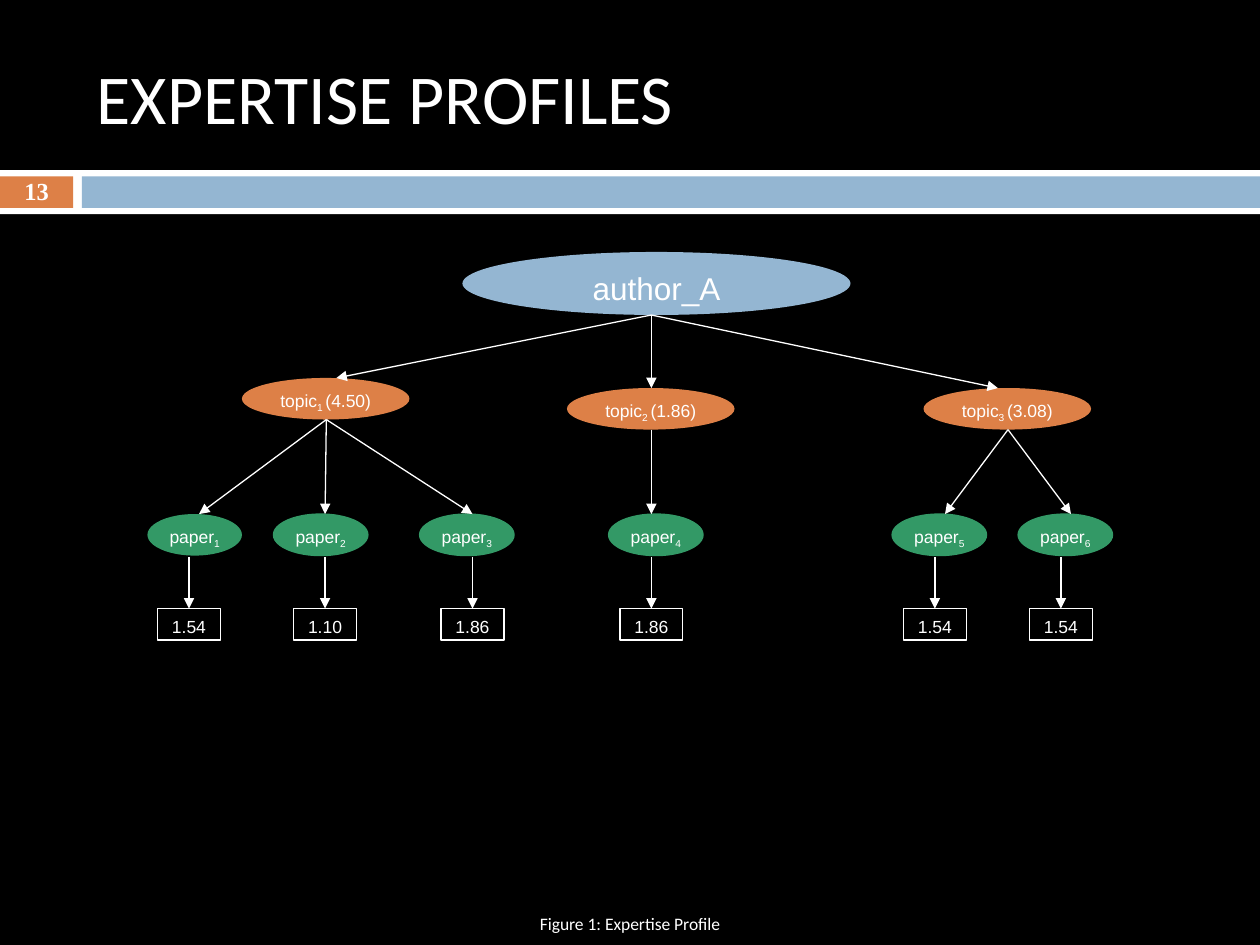
import pptx
import pptx.util
import pptx.dml.color
import pptx.enum.shapes
import pptx.enum.text
import pptx.oxml.ns
import lxml.etree

Inches = pptx.util.Inches
SHAPE = pptx.enum.shapes.MSO_SHAPE
ALIGN = pptx.enum.text.PP_ALIGN
WHITE, BLACK = "FFFFFF", "000000"
BLUE, ORANGE, GREEN = "94B6D2", "DD8047", "339966"

# Offsets inside the tree box. Topic: score, left, top, arrow tip, papers.
# Paper: left, arrow tip, score left, score.
TOPICS = [
    ("4.50", 0.92, 1.0, 1.67, [(0.17, 0.58, 0.25, "1.54"),
                               (1.17, 1.58, 1.33, "1.10"),
                               (2.33, 2.75, 2.5, "1.86")]),
    ("1.86", 3.5, 1.08, 4.17, [(3.83, 4.17, 3.92, "1.86")]),
    ("3.08", 6.33, 1.08, 6.92, [(6.08, 6.5, 6.17, "1.54"),
                                (7.08, 7.5, 7.17, "1.54")]),
]
ROOT, PAPER, SCORE = 4.17, 2.08, 2.83  # root x, then row tops


def color(code):
    return pptx.dml.color.RGBColor.from_string(code)


def write(shape, *parts, size=10, font="Arial", bold=False,
          align=ALIGN.CENTER, space=1.24, wrap=False):
    """Write parts as runs; every second part is a subscript."""
    frame = shape.text_frame
    frame.word_wrap = wrap
    frame.vertical_anchor = pptx.enum.text.MSO_ANCHOR.MIDDLE
    para = frame.paragraphs[0]
    para.alignment = align
    para.line_spacing = space
    for index, text in enumerate(parts):
        run = para.add_run()
        run.text = text
        run.font.size = pptx.util.Pt(size)
        run.font.name = font
        run.font.bold = bold
        run.font.color.rgb = color(WHITE)
        if index % 2:
            run.font._element.set("baseline", "-25000")


def label(slide, box, text, **style):
    area = slide.shapes.add_textbox(*map(Inches, box))
    write(area, text, space=0.98, wrap=True, **style)


def block(slide, kind, box, fill=None, line=None):
    shape = slide.shapes.add_shape(kind, *map(Inches, box))
    shape.shadow.inherit = False
    if fill:
        shape.fill.solid()
        shape.fill.fore_color.rgb = color(fill)
    else:
        shape.fill.background()
    if line:
        shape.line.color.rgb = color(line)
        shape.line.width = pptx.util.Pt(0.75)
    else:
        shape.line.fill.background()
    return shape


def arrow(slide, start, end, target=None):
    link = slide.shapes.add_connector(
        pptx.enum.shapes.MSO_CONNECTOR.STRAIGHT, *map(Inches, start + end))
    if target is not None:
        link.end_connect(target, 0)
    link.line.color.rgb = color(WHITE)
    link.line.width = pptx.util.Pt(0.75)
    name = pptx.oxml.ns.qn
    lxml.etree.SubElement(link.line._get_or_add_ln(), name("a:tailEnd"),
                          type="triangle")
    lxml.etree.SubElement(link._element.spPr, name("a:effectLst"))


def header(slide, left, top, width):
    # Title, white band, number tile and blue bar
    label(slide, (left + 0.67, top + 0.25, 8.92, 1.08), "EXPERTISE PROFILES",
          size=40, font="Calibri", align=ALIGN.LEFT)
    for x, y, wide, high, fill in [(0, 1.35, width, 0.35, WHITE),
                                   (0, 1.4, 0.58, 0.25, ORANGE),
                                   (0.65, 1.4, width - 0.65, 0.25, BLUE)]:
        block(slide, SHAPE.RECTANGLE, (left + x, top + y, wide, high), fill)
    label(slide, (left, top + 1.36, 0.58, 0.33), "13",
          size=14, font="Times New Roman", bold=True)


def paper(slide, left, top, number, spot, score):
    # Paper ellipse with its score below
    node = block(slide, SHAPE.OVAL, (left, top, 0.75, 0.33), GREEN,
                 GREEN if number > 1 else None)
    write(node, "paper", str(number))
    below = top + SCORE - PAPER
    tile = block(slide, SHAPE.RECTANGLE, (spot, below, 0.5, 0.25), line=WHITE)
    write(tile, score)
    arrow(slide, (spot + 0.25, top + 0.34), (spot + 0.25, below), tile)


def tree(slide, left, top):
    # Author at the root
    root = block(slide, SHAPE.OVAL, (left + 2.67, top, 3.08, 0.5), BLUE)
    write(root, "author_A", size=18)
    count = 0
    for number, (total, x, y, tip, papers) in enumerate(TOPICS, 1):
        # Topic and its branch from the author
        node = block(slide, SHAPE.OVAL, (left + x, top + y, 1.33, 0.33), ORANGE)
        write(node, "topic", f"{number} ", f"({total})")
        arrow(slide, (left + ROOT, top + 0.5), (left + tip, top + y))
        # Papers of the topic
        for place, end, spot, score in papers:
            count += 1
            paper(slide, left + place, top + PAPER, count, left + spot, score)
            arrow(slide, (left + x + 0.67, top + y + 0.33),
                  (left + end, top + PAPER))


def main():
    deck = pptx.Presentation()
    deck.slide_width, deck.slide_height = Inches(10), Inches(7.5)
    slide = deck.slides.add_slide(deck.slide_layouts[6])
    slide.background.fill.solid()
    slide.background.fill.fore_color.rgb = color(BLACK)
    header(slide, 0, 0, 10)
    tree(slide, 1, 2)
    # Caption
    label(slide, (0, 7.17, 10, 0.33), "Figure 1: Expertise Profile",
          font="Calibri")
    deck.save("out.pptx")


if __name__ == "__main__":
    main()
